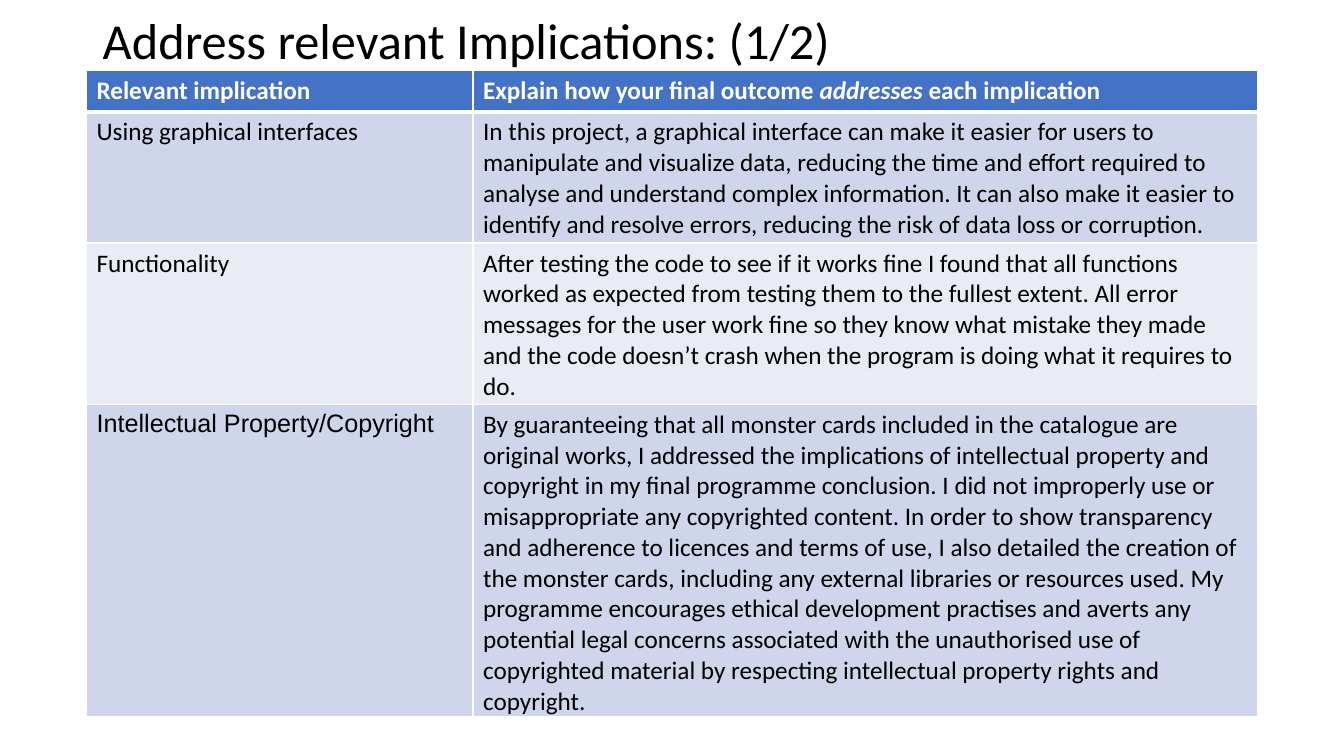
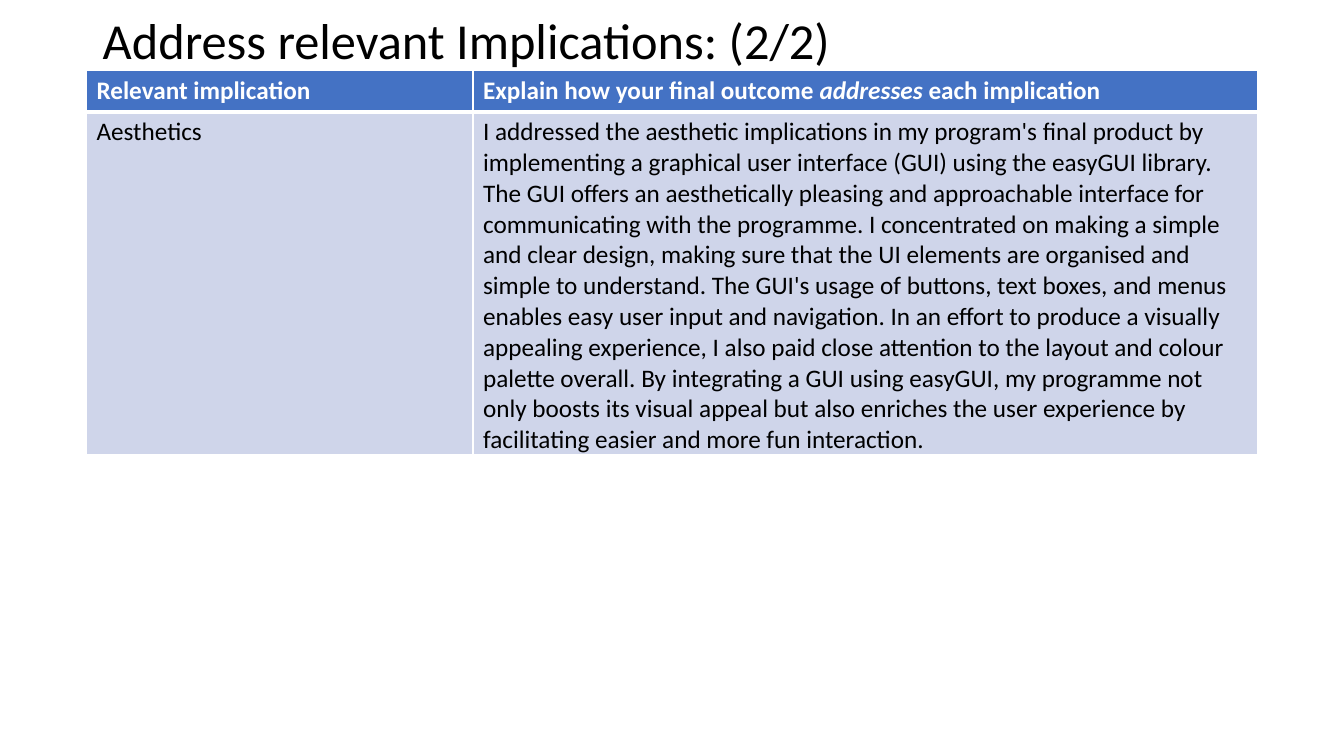
from lxml import etree
from pptx import Presentation
from pptx import util as u
from pptx.dml import color
from pptx.enum import text
from pptx.oxml import ns

FONT = "Calibri"
BLACK, WHITE = "000000", "FFFFFF"
HEADER_FILL = "4472C4"
BAND_FILLS = ["CFD5EA", "E9EBF5"]
COLUMN_SHARES = [0.33, 0.67]
TITLE_BOX = [u.Cm(n) for n in (2.34, 0, 29.21, 1.78)]
TABLE_BOX = [u.Cm(n) for n in (2.18, 1.78, 29.52)]
ROW_HEIGHT = u.Cm(1.04)

HEADER = [
    [("Relevant implication", {})],
    [("Explain how your final outcome ", {}), ("addresses", {"italic": True}),
     (" each implication", {})],
]

PAGES = [
    [
        ("Using graphical interfaces", FONT,
         "In this project, a graphical interface can make it easier for users to "
         "manipulate and visualize data, reducing the time and effort required to "
         "analyse and understand complex information. It can also make it easier to "
         "identify and resolve errors, reducing the risk of data loss or corruption."),
        ("Functionality", FONT,
         "After testing the code to see if it works fine I found that all functions "
         "worked as expected from testing them to the fullest extent. All error "
         "messages for the user work fine so they know what mistake they made and "
         "the code doesn’t crash when the program is doing what it requires to do."),
        ("Intellectual Property/Copyright", "Arial",
         "By guaranteeing that all monster cards included in the catalogue are "
         "original works, I addressed the implications of intellectual property and "
         "copyright in my final programme conclusion. I did not improperly use or "
         "misappropriate any copyrighted content. In order to show transparency and "
         "adherence to licences and terms of use, I also detailed the creation of "
         "the monster cards, including any external libraries or resources used. My "
         "programme encourages ethical development practises and averts any "
         "potential legal concerns associated with the unauthorised use of "
         "copyrighted material by respecting intellectual property rights and "
         "copyright."),
    ],
    [
        ("Aesthetics", FONT,
         "I addressed the aesthetic implications in my program's final product by "
         "implementing a graphical user interface (GUI) using the easyGUI library. "
         "The GUI offers an aesthetically pleasing and approachable interface for "
         "communicating with the programme. I concentrated on making a simple and "
         "clear design, making sure that the UI elements are organised and simple "
         "to understand. The GUI's usage of buttons, text boxes, and menus enables "
         "easy user input and navigation. In an effort to produce a visually "
         "appealing experience, I also paid close attention to the layout and "
         "colour palette overall. By integrating a GUI using easyGUI, my programme "
         "not only boosts its visual appeal but also enriches the user experience "
         "by facilitating easier and more fun interaction."),
    ],
]


def paint(target, hex_color):
    if hasattr(target, "solid"):
        target.solid()
        target = target.fore_color
    target.rgb = color.RGBColor.from_string(hex_color)


def add_run(p, content, size, hex_color, font=FONT, bold=False, italic=False):
    r = p.add_run()
    r.text = content
    r.font.name = font
    r.font.size = u.Pt(size)
    r.font.bold = bold
    r.font.italic = italic
    paint(r.font.color, hex_color)


def add_border(cell, side, width):
    tc_pr = cell._tc.get_or_add_tcPr()
    ln = etree.SubElement(tc_pr, ns.qn(f"a:ln{side}"), w=str(u.Pt(width)))
    fill = etree.SubElement(ln, ns.qn("a:solidFill"))
    etree.SubElement(fill, ns.qn("a:srgbClr"), val=WHITE)


def fill_cell(cell, runs, fill, hex_color, top=1, bottom=1, bold=False):
    for side, width in zip("LRTB", (1, 1, top, bottom)):
        add_border(cell, side, width)
    paint(cell.fill, fill)
    p = cell.text_frame.paragraphs[0]
    for content, style in runs:
        add_run(p, content, 18, hex_color, bold=bold, **style)


def add_title(s, box, content):
    tf = s.shapes.add_textbox(*box).text_frame
    tf.word_wrap = True
    tf.vertical_anchor = text.MSO_ANCHOR.MIDDLE
    p = tf.paragraphs[0]
    p.line_spacing = 1.15
    add_run(p, content, 36, BLACK)


def add_implications(s, box, rows):
    left, top, width = box
    count = len(rows) + 1
    table = s.shapes.add_table(count, len(HEADER), left, top, width,
                               ROW_HEIGHT * count).table
    for column, share in zip(table.columns, COLUMN_SHARES):
        column.width = round(width * share)
    for c, runs in enumerate(HEADER):
        fill_cell(table.cell(0, c), runs, HEADER_FILL, WHITE, bottom=3, bold=True)
    for i, (name, font, explanation) in enumerate(rows):
        fill = BAND_FILLS[i % 2]
        cells = [[(name, {"font": font})], [(explanation, {})]]
        for c, runs in enumerate(cells):
            fill_cell(table.cell(i + 1, c), runs, fill, BLACK,
                      top=1 if i else 3)


def main():
    prs = Presentation()
    prs.slide_width, prs.slide_height = u.Cm(33.87), u.Cm(19.05)
    for number, rows in enumerate(PAGES, 1):
        s = prs.slides.add_slide(prs.slide_layouts[6])
        add_title(s, TITLE_BOX,
                  f"Address relevant Implications: ({number}/{len(PAGES)})")
        add_implications(s, TABLE_BOX, rows)
    prs.save("out.pptx")


if __name__ == "__main__":
    main()
